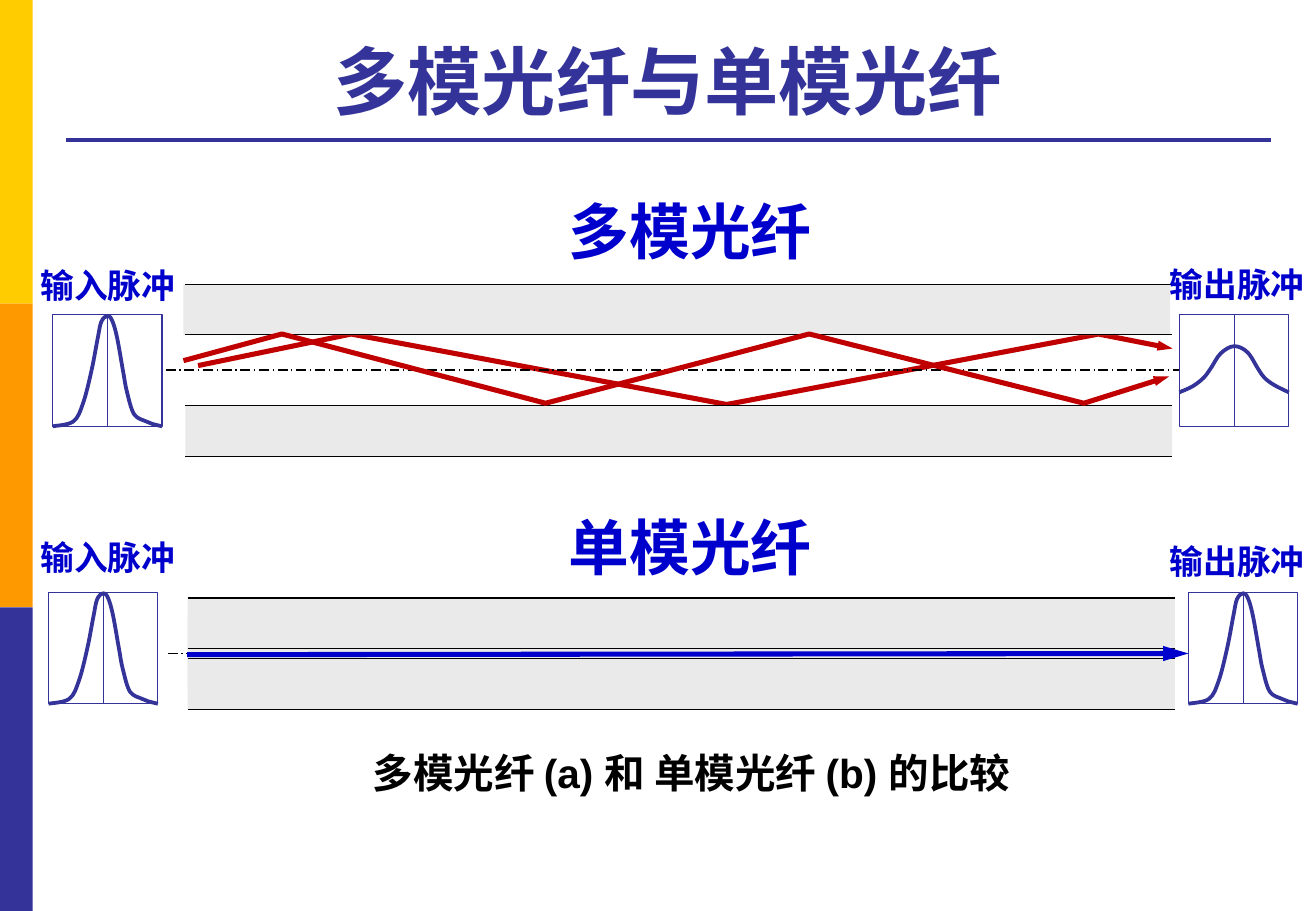
"""Build a slide that compares multimode and single-mode optical fibre."""
from dataclasses import dataclass
from typing import Any

import lxml.etree
import pptx
import pptx.dml.color
import pptx.enum.dml
import pptx.enum.shapes
import pptx.enum.text
import pptx.oxml
import pptx.oxml.ns
import pptx.util

Point = tuple[float, float]
Dash = pptx.enum.dml.MSO_LINE_DASH_STYLE
Align = pptx.enum.text.PP_ALIGN
RECT = pptx.enum.shapes.MSO_SHAPE.RECTANGLE
STRAIGHT = pptx.enum.shapes.MSO_CONNECTOR.STRAIGHT

COLS, ROWS = 108.3, 75.0
CELL = pptx.util.Inches(0.1)
PULSE_W, PULSE_H = 9.0, 9.2
NARROW = [(0, 9.2), (1.7, 8.8), (2.5, 7.3), (3.2, 4.6), (3.7, 2), (4, 0.6), (4.5, 0.1), (4.9, 0.5),
          (5.3, 1.9), (5.8, 4.7), (6.1, 6.3), (6.7, 8.2), (7.7, 8.8), (8.2, 9), (9, 9.2)]
WIDE = [(0, 6.4), (1.1, 5.9), (2, 5.2), (2.6, 4.4), (3.4, 3.2), (4.5, 2.6),
        (5.6, 3.1), (6.5, 4.5), (7, 5.2), (7.8, 5.8), (9, 6.4)]


@dataclass(frozen=True)
class Theme:
    """Colours, font and type sizes of the slide."""
    font: str = "Arial"
    navy: str = "333399"
    blue: str = "0000CC"
    red: str = "C00000"
    cladding: str = "EAEAEA"
    black: str = "000000"
    white: str = "FFFFFF"
    bands: tuple[str, ...] = ("FFCC00", "FF9900", "333399")
    title: int = 44
    heading: int = 36
    caption: int = 24
    label: int = 20


@dataclass(frozen=True)
class Box:
    """A rectangle in grid columns and rows."""
    x: float
    y: float
    w: float
    h: float


@dataclass(frozen=True)
class Pulse:
    """A framed pulse curve, placed by its top left corner."""
    x: float
    y: float
    curve: list[Point]
    frame: float


@dataclass(frozen=True)
class Label:
    """A bold line of text in a box."""
    text: str
    box: Box
    size: int
    color: str
    wrap: bool = False


@dataclass(frozen=True)
class Fibre:
    """Cladding boxes, boundary rows and the centre axis of one fibre."""
    cladding: list[Box]
    left: float
    right: float
    edges: list[float]
    axis: tuple[Point, Point]


T = Theme()
SINGLE = Fibre([Box(15.45, 50.9, 81.25, 5.8), Box(15.45, 49.23, 81.25, 4.2), Box(15.45, 54.2, 81.25, 4.2)],
               15.45, 96.7, [49.23, 53.4, 54.2, 58.4], ((13.8, 53.8), (98, 53.8)))
MULTI = Fibre([Box(15.1, 23.4, 81.2, 4.2), Box(15.26, 33.4, 81.2, 4.2)],
              15.26, 96.46, [23.4, 27.57, 33.4, 37.6], ((13.63, 30.47), (97.8, 30.47)))
SINGLE_PULSES = [Pulse(4, 48.74, NARROW, 0.5), Pulse(97.8, 48.74, NARROW, 0.5)]
MULTI_PULSES = [Pulse(4.34, 25.9, NARROW, 0.75), Pulse(97.06, 25.9, WIDE, 0.75)]
LOW_RAY = [(16.3, 30.1), (28.9, 27.5), (59.8, 33.3), (90.4, 27.5), (96.5, 28.7)]
HIGH_RAY = [(15.1, 29.7), (23.2, 27.5), (44.9, 33.2), (66.6, 27.5), (89.2, 33.2), (96.2, 31)]
LABELS = [
    Label("输入脉冲", Box(2.34, 43.7, 13.2, 4.4), T.label, T.blue),
    Label("输出脉冲", Box(95.26, 44, 13.2, 4.4), T.label, T.blue),
    Label("单模光纤", Box(45.8, 41.45, 22.2, 7.1), T.heading, T.blue),
    Label("输入脉冲", Box(2.34, 21.3, 13.2, 4.4), T.label, T.blue),
    Label("输出脉冲", Box(95.26, 21.2, 13.2, 4.4), T.label, T.blue),
    Label("多模光纤", Box(45.8, 15.5, 22.2, 7.1), T.heading, T.blue),
    Label("多模光纤 (a) 和 单模光纤 (b) 的比较", Box(22.65, 61.1, 68.5, 5), T.caption, T.black, True),
]


def grid(n: float) -> int:
    """Turn grid cells into a length."""
    return pptx.util.Emu(round(n * CELL))


def place(box: Box) -> tuple[int, ...]:
    """Turn a box into left, top, width and height."""
    return tuple(grid(n) for n in (box.x, box.y, box.w, box.h))


def rgb(color: str) -> pptx.dml.color.RGBColor:
    """Turn a hex string into a colour."""
    return pptx.dml.color.RGBColor.from_string(color)


def stroke(s: Any, color: str, width: float) -> None:
    """Give a shape or connector a plain line."""
    s.line.color.rgb = rgb(color)
    s.line.width = pptx.util.Pt(width)


def arrow(s: Any, w: str, length: str) -> None:
    """Put a triangular head on the end of a line."""
    tail = pptx.oxml.parse_xml(f'<a:tailEnd {pptx.oxml.ns.nsdecls("a")} type="triangle" w="{w}" len="{length}"/>')
    s.line._get_or_add_ln().append(tail)


def add_rect(shapes: Any, box: Box, fill: str, line: float = 0) -> Any:
    """Draw a filled rectangle, outlined if a line width is given."""
    s = shapes.add_shape(RECT, *place(box))
    s.shadow.inherit = False
    s.fill.solid()
    s.fill.fore_color.rgb = rgb(fill)
    if line:
        stroke(s, T.navy, line)
    else:
        s.line.fill.background()
    return s


def add_line(shapes: Any, start: Point, end: Point, color: str, width: float) -> Any:
    """Draw a straight line without a shadow."""
    s = shapes.add_connector(STRAIGHT, *(grid(n) for n in start + end))
    stroke(s, color, width)
    s._element.spPr.append(pptx.oxml.parse_xml(f'<a:effectLst {pptx.oxml.ns.nsdecls("a")}/>'))
    return s


def add_outline(shapes: Any, points: list[Point], color: str, width: float) -> Any:
    """Draw an open outline through the points."""
    first, *rest = [(grid(x), grid(y)) for x, y in points]
    builder = shapes.build_freeform(*first)
    builder.add_line_segments(rest, close=False)
    s = builder.convert_to_shape()
    s.shadow.inherit = False
    s.fill.background()
    stroke(s, color, width)
    return s


def smooth(s: Any) -> None:
    """Turn the straight segments of an outline into smooth cubic curves."""
    qn = pptx.oxml.ns.qn
    knots = [(int(pt.get("x")), int(pt.get("y"))) for pt in s._element.iter(qn("a:pt"))]
    ends = [knots[0], *knots, knots[-1]]
    segments = list(s._element.iter(qn("a:lnTo")))
    for segment, a, b, c, d in zip(segments, ends, ends[1:], ends[2:], ends[3:]):
        leave = [q + (r - p) / 6 for p, q, r in zip(a, b, c)]
        arrive = [q - (r - p) / 6 for p, q, r in zip(b, c, d)]
        curve = lxml.etree.Element(qn("a:cubicBezTo"))
        for x, y in (leave, arrive, c):
            lxml.etree.SubElement(curve, qn("a:pt"), x=str(round(x)), y=str(round(y)))
        segment.getparent().replace(segment, curve)


def add_pulse(shapes: Any, pulse: Pulse) -> None:
    """Draw a pulse frame with its centre line and curve."""
    frame = add_rect(shapes, Box(pulse.x, pulse.y, PULSE_W, PULSE_H), T.white, pulse.frame)
    mid = pulse.x + PULSE_W / 2
    s = add_line(shapes, (mid, pulse.y), (mid, pulse.y + PULSE_H), T.navy, 0.5)
    s.begin_connect(frame, 0)
    s.end_connect(frame, 2)
    smooth(add_outline(shapes, [(pulse.x + x, pulse.y + y) for x, y in pulse.curve], T.navy, 2.25))


def add_fibre(shapes: Any, fibre: Fibre, pulses: list[Pulse]) -> None:
    """Draw a fibre with the pulses at its two ends."""
    for box in fibre.cladding:
        add_rect(shapes, box, T.cladding)
    for y in fibre.edges:
        add_line(shapes, (fibre.left, y), (fibre.right, y), T.black, 0.75)
    add_line(shapes, *fibre.axis, T.black, 0.75).line.dash_style = Dash.LONG_DASH_DOT
    for pulse in pulses:
        add_pulse(shapes, pulse)


def write(tf: Any, text: str, size: int, color: str, align: Any) -> None:
    """Fill a text frame with one bold paragraph."""
    p = tf.paragraphs[0]
    p.alignment = align
    r = p.add_run()
    r.text = text
    for name, value in {"name": T.font, "size": pptx.util.Pt(size), "bold": True}.items():
        setattr(r.font, name, value)
    r.font.color.rgb = rgb(color)


def add_label(shapes: Any, label: Label) -> None:
    """Add a text box for a label."""
    tf = shapes.add_textbox(*place(label.box)).text_frame
    tf.word_wrap = label.wrap
    tf.auto_size = pptx.enum.text.MSO_AUTO_SIZE.SHAPE_TO_FIT_TEXT
    write(tf, label.text, label.size, label.color, Align.CENTER if label.wrap else Align.LEFT)


def add_title(s: Any, text: str, box: Box) -> None:
    """Move and format the title placeholder."""
    for name, value in zip(("left", "top", "width", "height"), place(box)):
        setattr(s, name, value)
    s.text_frame.vertical_anchor = pptx.enum.text.MSO_ANCHOR.BOTTOM
    write(s.text_frame, text, T.title, T.navy, Align.CENTER)


def main() -> None:
    """Build and save the slide."""
    prs = pptx.Presentation()
    prs.slide_width, prs.slide_height = grid(COLS), grid(ROWS)
    shapes = prs.slides.add_slide(prs.slide_layouts.get_by_name("Title Only")).shapes
    band = ROWS / len(T.bands)
    for i, color in enumerate(T.bands):
        add_rect(shapes, Box(0, i * band, 2.7, band), color)
    add_line(shapes, (5.4, 11.5), (104.6, 11.5), T.navy, 2.25)
    add_title(shapes.title, "多模光纤与单模光纤", Box(5.4, 2.05, 99.1, 8.7))
    add_fibre(shapes, SINGLE, SINGLE_PULSES)
    arrow(add_outline(shapes, LOW_RAY, T.red, 3), "sm", "med")
    add_fibre(shapes, MULTI, MULTI_PULSES)
    arrow(add_line(shapes, (15.4, 53.9), (97.8, 53.8), T.blue, 3), "med", "lg")
    arrow(add_outline(shapes, HIGH_RAY, T.red, 3), "sm", "med")
    for label in LABELS:
        add_label(shapes, label)
    prs.save("out.pptx")


if __name__ == "__main__":
    main()
